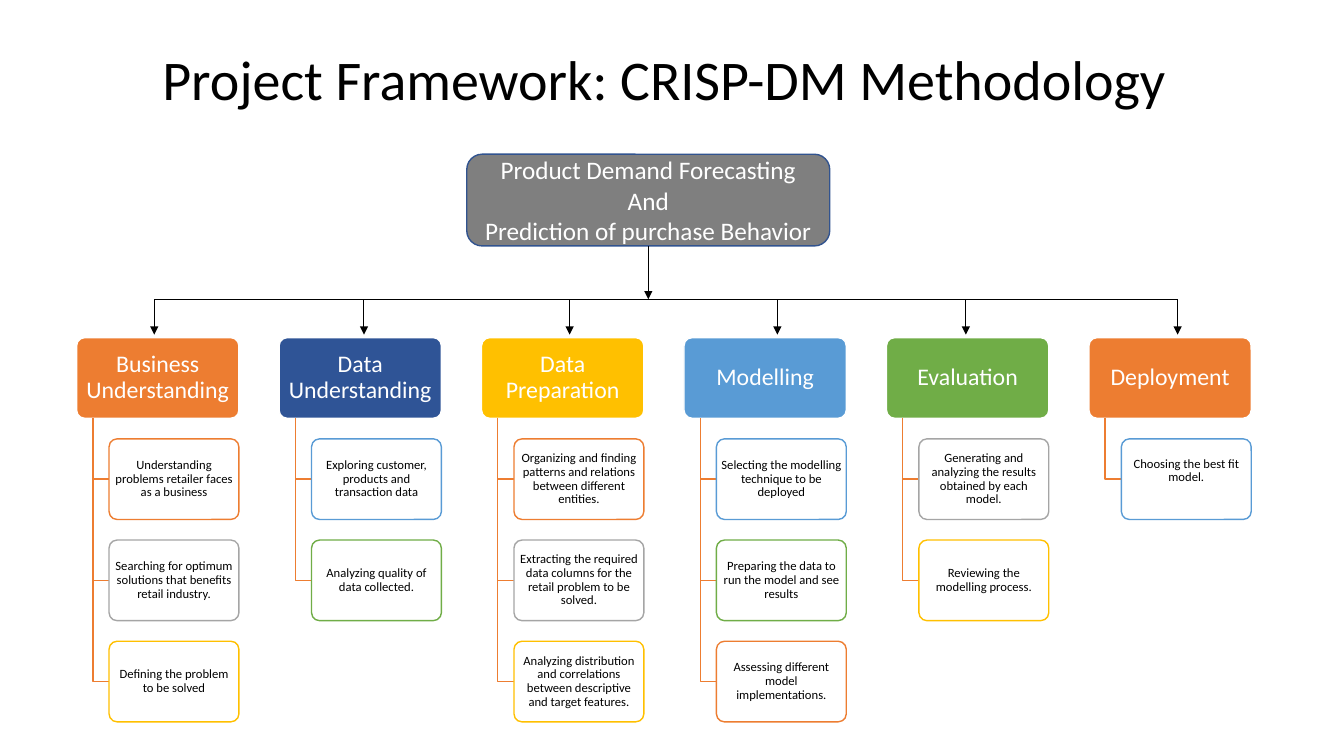
import pptx
import pptx.dml.color
import pptx.enum.shapes
import pptx.enum.text
import pptx.oxml
import pptx.oxml.ns
import pptx.util
from pptx.util import Inches

FONT = "Calibri"
ORANGE, GRAY, YELLOW = "ED7D31", "A5A5A5", "FFC000"
BLUE, NAVY, GREEN = "599BD5", "2F5496", "70AD47"
WHITE, BLACK = "FFFFFF", "000000"

# Phase name, colour, arrow position, cards as (text, outline)
PHASES = [
    ("Business Understanding", ORANGE, 1.53, [
        ("Understanding problems retailer faces as a business", ORANGE),
        ("Searching for optimum solutions that benefits retail industry.", GRAY),
        ("Defining the problem to be solved", YELLOW)]),
    ("Data Understanding", NAVY, 3.61, [
        ("Exploring customer, products and transaction data", BLUE),
        ("Analyzing quality of data collected.", GREEN)]),
    ("Data Preparation", YELLOW, 5.65, [
        ("Organizing and finding patterns and relations between different entities.", ORANGE),
        ("Extracting the required data columns for the retail problem to be solved.", GRAY),
        ("Analyzing distribution and correlations between descriptive and target features.",
         YELLOW)]),
    ("Modelling", BLUE, 7.71, [
        ("Selecting the modelling technique to be deployed", BLUE),
        ("Preparing the data to run the model and see results", GREEN),
        ("Assessing different model implementations.", ORANGE)]),
    ("Evaluation", GREEN, 9.58, [
        ("Generating and analyzing the results obtained by each model.", GRAY),
        ("Reviewing the modelling process.", YELLOW)]),
    ("Deployment", ORANGE, 11.68, [("Choosing the best fit model.", BLUE)]),
]
COLUMN_PITCH = 10.04 / (len(PHASES) - 1)
CARD_PITCH = COLUMN_PITCH / 2
BOX_HEIGHT = 0.8


def color(value):
    return pptx.dml.color.RGBColor.from_string(value)


def write(shape, lines, size, text_color, insets, spacing=0.9):
    """Fill a shape with centred lines; insets are left, top, right, bottom."""
    frame = shape.text_frame
    frame.word_wrap = True
    frame.vertical_anchor = pptx.enum.text.MSO_ANCHOR.MIDDLE
    frame.margin_left, frame.margin_top, frame.margin_right, frame.margin_bottom = map(
        Inches, insets)
    frame.text = "\n".join(lines)
    for paragraph in frame.paragraphs:
        paragraph.alignment = pptx.enum.text.PP_ALIGN.CENTER
        paragraph.line_spacing = spacing
        paragraph.font.name = FONT
        paragraph.font.size = pptx.util.Pt(size)
        paragraph.font.color.rgb = color(text_color)


def add_rounded_box(slide, left, top, width, height, fill, line, corner=0.1):
    shape = slide.shapes.add_shape(
        pptx.enum.shapes.MSO_SHAPE.ROUNDED_RECTANGLE,
        Inches(left), Inches(top), Inches(width), Inches(height))
    shape.adjustments[0] = corner
    shape.shadow.inherit = False
    shape.fill.solid()
    shape.fill.fore_color.rgb = color(fill)
    shape.line.color.rgb = color(line)
    shape.line.width = pptx.util.Pt(1)
    return shape


def add_bracket(slide, left, top, right, bottom):
    """Draw the L-shaped line from a phase head down to a card."""
    builder = slide.shapes.build_freeform(Inches(left), Inches(top))
    builder.add_line_segments(
        [(Inches(left), Inches(bottom)), (Inches(right), Inches(bottom))], close=False)
    bracket = builder.convert_to_shape()
    bracket.shadow.inherit = False
    bracket.fill.background()
    bracket.line.color.rgb = color(ORANGE)
    bracket.line.width = pptx.util.Pt(1)


def add_line(slide, x1, y1, x2, y2, arrow=True):
    connector = slide.shapes.add_connector(
        pptx.enum.shapes.MSO_CONNECTOR.STRAIGHT,
        Inches(x1), Inches(y1), Inches(x2), Inches(y2))
    connector.line.color.rgb = color(BLACK)
    connector.line.width = pptx.util.Pt(0.75)
    if arrow:
        tail = pptx.oxml.parse_xml(
            f'<a:tailEnd {pptx.oxml.ns.nsdecls("a")} type="triangle"/>')
        connector.line._get_or_add_ln().append(tail)
    connector._element.spPr.append(
        pptx.oxml.parse_xml(f'<a:effectLst {pptx.oxml.ns.nsdecls("a")}/>'))
    return connector


def add_title(slide, left, top, width, height):
    title = slide.shapes.add_textbox(Inches(left), Inches(top), Inches(width), Inches(height))
    write(title, ["Project Framework: CRISP-DM Methodology"], 40, BLACK, (0.1, 0.05, 0.1, 0.05))


def add_phase_column(slide, left, top, width, name, fill, cards):
    head = add_rounded_box(slide, left, top, width, BOX_HEIGHT, fill, WHITE)
    write(head, [name], 17, WHITE, (0.04, 0.02, 0.04, 0.02))
    card_left = left + 0.2 * width
    for row, (text, outline) in enumerate(cards, start=1):
        card_top = top + row * CARD_PITCH
        add_bracket(slide, left + 0.1 * width, top + BOX_HEIGHT,
                    card_left, card_top + BOX_HEIGHT / 2)
        card = add_rounded_box(slide, card_left, card_top, 0.8 * width, BOX_HEIGHT,
                               WHITE, outline)
        bottom_inset = 0.17 if name == "Deployment" else 0.01
        write(card, [text], 9, BLACK, (0.02, 0.01, 0.02, bottom_inset))


def add_goal_tree(slide, left, top, width, height):
    """Place the project goal box and the arrows leading to the phases."""
    goal = add_rounded_box(slide, left, top, width, height, "7F7F7F", "31538F", 0.167)
    write(goal, ["Product Demand Forecasting", "And", "Prediction of purchase Behavior"],
          18, WHITE, (0.1, 0.05, 0.1, 0.05), 1.0)
    middle, bottom = left + width / 2, top + height
    rail = bottom + 0.53
    stem = add_line(slide, middle, bottom, middle, rail)
    stem.begin_connect(goal, 2)
    arrow_positions = [phase[2] for phase in PHASES]
    add_line(slide, arrow_positions[0], rail, arrow_positions[-1], rail, arrow=False)
    for x in arrow_positions:
        add_line(slide, x, rail, x, rail + 0.35)


def main():
    presentation = pptx.Presentation()
    presentation.slide_width = Inches(13.33)
    presentation.slide_height = Inches(7.5)
    slide = presentation.slides.add_slide(presentation.slide_layouts[6])
    add_title(slide, 0.75, 0.12, 11.67, 1.4)
    for column, (name, fill, _, cards) in enumerate(PHASES):
        add_phase_column(slide, 0.76 + column * COLUMN_PITCH, 3.35, 1.61, name, fill, cards)
    add_goal_tree(slide, 4.63, 1.53, 3.6, 0.91)
    presentation.save("out.pptx")


if __name__ == "__main__":
    main()
